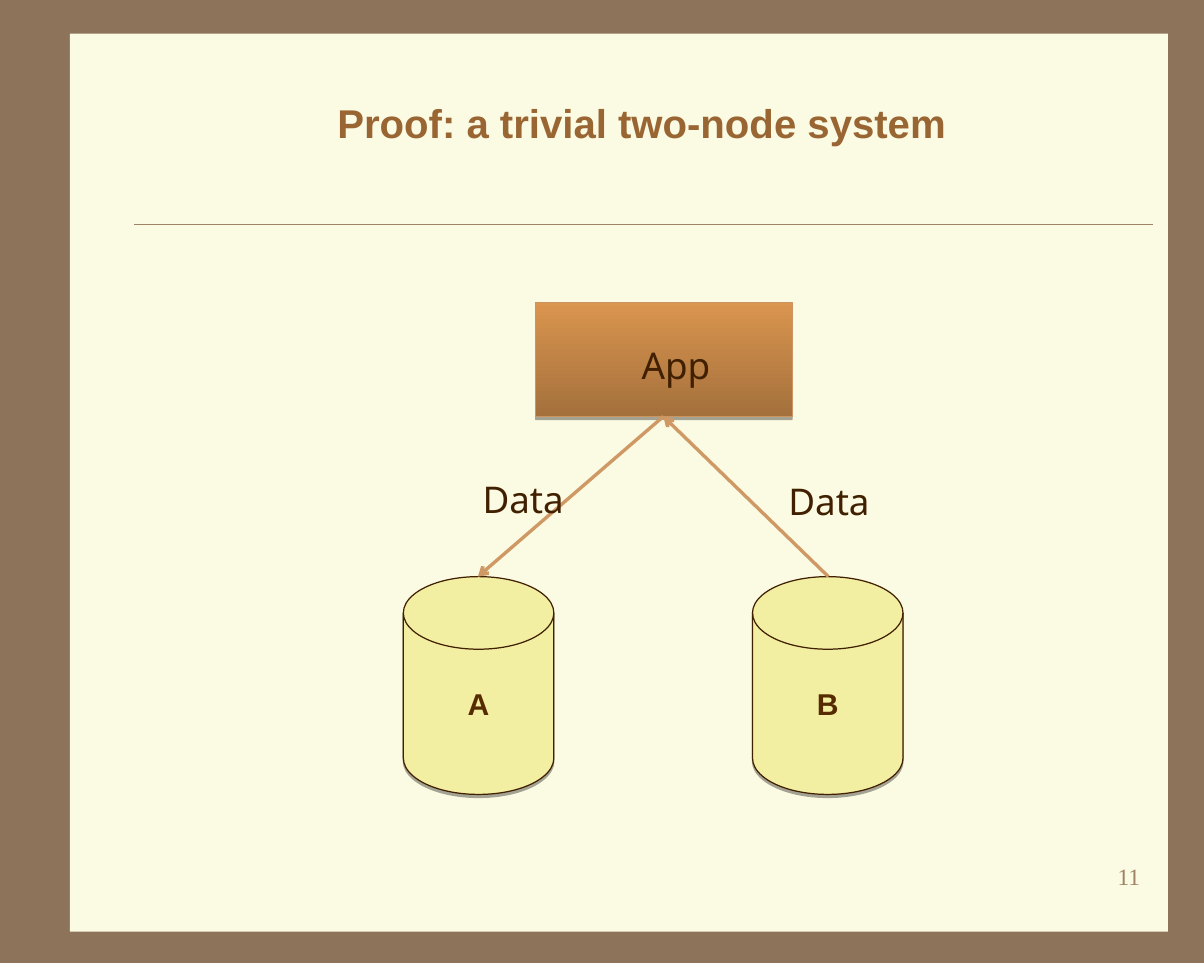
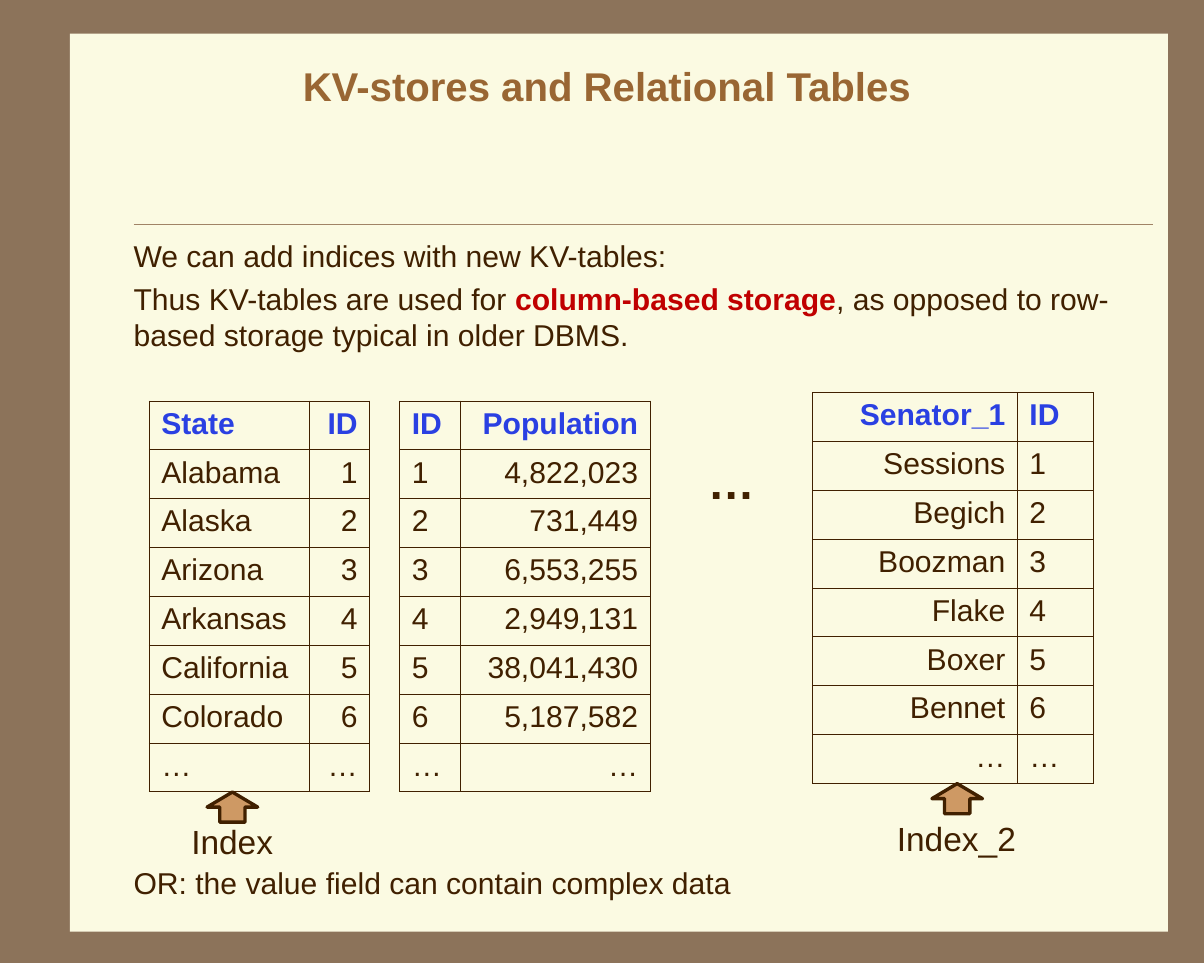
from lxml import etree
from pptx import Presentation
from pptx.dml.color import RGBColor
from pptx.enum import shapes, text
from pptx.oxml import ns
from pptx.util import Inches, Pt

FRAME = RGBColor(0x8C, 0x73, 0x5A)
PAPER = RGBColor(0xFB, 0xFA, 0xE2)
RULE = RGBColor(0xA0, 0x83, 0x66)
TITLE = RGBColor(0x99, 0x66, 0x33)
INK = RGBColor(0x40, 0x20, 0x00)
NODE_FILL = RGBColor(0xF2, 0xEF, 0xA3)
NODE_INK = RGBColor(0x56, 0x2B, 0x00)
APP_DARK = RGBColor(0xA4, 0x70, 0x3C)
APP_LIGHT = RGBColor(0xDA, 0x95, 0x4F)
APP_EDGE = RGBColor(0xCC, 0x95, 0x5F)
ARROW = RGBColor(0xCE, 0x99, 0x64)
HEADER = RGBColor(0x2A, 0x40, 0xE2)
EMPHASIS = RGBColor(0xC0, 0x00, 0x00)
LEFT, CENTER, RIGHT = text.PP_ALIGN.LEFT, text.PP_ALIGN.CENTER, text.PP_ALIGN.RIGHT
SHAPE = shapes.MSO_SHAPE


def add_run(paragraph, words, size, color=INK, bold=False, font="Arial"):
    run = paragraph.add_run()
    run.text = words
    run.font.size, run.font.bold, run.font.name = Pt(size), bold, font
    run.font.color.rgb = color


def add_label(slide, box, words, size, color=INK, bold=False, font="Arial",
              align=LEFT, wrap=False, inset=0.1):
    """Add a one-paragraph text box and return its frame."""
    frame = slide.shapes.add_textbox(*map(Inches, box)).text_frame
    frame.word_wrap = wrap
    if not wrap:
        frame.auto_size = text.MSO_AUTO_SIZE.SHAPE_TO_FIT_TEXT
    frame.margin_left = frame.margin_right = Inches(inset)
    frame.paragraphs[0].alignment = align
    add_run(frame.paragraphs[0], words, size, color, bold, font)
    return frame


prs = Presentation()
prs.slide_width, prs.slide_height = Inches(10), Inches(8)

# Shared page, rule and title
pages = []
for heading, heading_box in [
    ("Proof: a trivial two-node system", (1.08, 0.53, 8.5, 0.97)),
    ("KV-stores and Relational Tables", (0.75, 0.42, 8.58, 0.58)),
]:
    slide = prs.slides.add_slide(prs.slide_layouts[6])
    slide.background.fill.solid()
    slide.background.fill.fore_color.rgb = FRAME
    paper = slide.shapes.add_shape(
        SHAPE.RECTANGLE, Inches(0.58), Inches(0.28), Inches(9.12), Inches(7.46))
    paper.shadow.inherit = False
    paper.fill.solid()
    paper.fill.fore_color.rgb = PAPER
    paper.line.fill.background()
    rule = slide.shapes.add_connector(
        shapes.MSO_CONNECTOR.STRAIGHT, Inches(1.11), Inches(1.86), Inches(9.58), Inches(1.86))
    rule.line.color.rgb = RULE
    rule.line.width = Pt(0.25)
    etree.SubElement(rule._element.spPr, ns.qn("a:effectLst"))
    title = add_label(slide, heading_box, heading, 24, TITLE, True,
                      align=CENTER, wrap=True, inset=0.11)
    title.vertical_anchor = text.MSO_ANCHOR.MIDDLE
    pages.append(slide)
proof, stores = pages

# Two-node system
add_label(proof, (7.5, 7.11, 2.08, 0.53), "11", 14, RULE,
          font="Times New Roman", align=RIGHT, wrap=True, inset=0.11)

blocks = []
for preset, box, edge in [
    (SHAPE.FLOWCHART_MAGNETIC_DISK, (3.35, 4.79, 1.25, 1.81), INK),
    (SHAPE.FLOWCHART_MAGNETIC_DISK, (6.25, 4.79, 1.25, 1.81), INK),
    (SHAPE.RECTANGLE, (4.45, 2.51, 2.13, 0.95), APP_EDGE),
]:
    block = proof.shapes.add_shape(preset, *map(Inches, box))
    block.line.color.rgb = edge
    block.line.width = Pt(0.75)
    block.fill.solid()
    block.fill.fore_color.rgb = NODE_FILL
    block.shadow.inherit = False
    effects = block._element.spPr.find(ns.qn("a:effectLst"))
    shadow = etree.SubElement(effects, ns.qn("a:outerShdw"), blurRad="0",
                              dist=str(Pt(1.8)), dir="5400000", rotWithShape="0")
    black = etree.SubElement(shadow, ns.qn("a:srgbClr"), val="000000")
    etree.SubElement(black, ns.qn("a:alpha"), val="35000")
    blocks.append(block)

for node, letter in zip(blocks, "AB"):
    node.text_frame.vertical_anchor = text.MSO_ANCHOR.MIDDLE
    node.text_frame.paragraphs[0].alignment = CENTER
    add_run(node.text_frame.paragraphs[0], letter, 18, NODE_INK, True)

app = blocks[-1]
app.fill.gradient()
app.fill.gradient_angle = 90
for stop, shade in zip(app.fill.gradient_stops, (APP_DARK, APP_LIGHT)):
    stop.color.rgb = shade

app_port, a_port, b_port = (5.51, 3.46), (3.97, 4.79), (6.88, 4.79)
for start, end in [(app_port, a_port), (b_port, app_port)]:
    flow = proof.shapes.add_connector(
        shapes.MSO_CONNECTOR.STRAIGHT, *map(Inches, start + end))
    flow.line.color.rgb = ARROW
    flow.line.width = Pt(2)
    etree.SubElement(flow.line._get_or_add_ln(), ns.qn("a:tailEnd"), type="arrow")
    etree.SubElement(flow._element.spPr, ns.qn("a:effectLst"))

for words, box in [
    ("Data", (3.91, 3.91, 0.9, 0.47)),
    ("Data", (6.45, 3.93, 0.9, 0.47)),
    ("App", (5.23, 2.8, 0.78, 0.47)),
]:
    add_label(proof, box, words, 22, font="Noto Sans")

# Column-based storage
intro = add_label(stores, (1, 1.92, 8.5, 1.1), "We can add indices with new KV-tables:",
                  18, wrap=True, inset=0.11)
usage = intro.add_paragraph()
usage.space_before = Pt(4.5)
add_run(usage, "Thus KV-tables are used for ", 18)
add_run(usage, "column-based storage", 18, EMPHASIS, True)
add_run(usage, ", as opposed to row-based storage typical in older DBMS.", 18)
add_label(stores, (5.77, 3.71, 0.7, 0.55), "…", 28, bold=True, inset=0.11, wrap=True)
add_label(stores, (1, 7.13, 8.5, 0.4), "OR: the value field can contain complex data",
          18, wrap=True, inset=0.11)

ids = ["ID", "1", "2", "3", "4", "5", "6", "…"]
states = ["State", "Alabama", "Alaska", "Arizona", "Arkansas", "California", "Colorado", "…"]
populations = ["Population", "4,822,023", "731,449", "6,553,255", "2,949,131",
               "38,041,430", "5,187,582", "…"]
senators = ["Senator_1", "Sessions", "Begich", "Boozman", "Flake", "Boxer", "Bennet", "…"]
TABLE_HEIGHT = 3.25

# Each column: values, width, alignment
for left, top, columns in [
    (1.24, 3.33, [(states, 1.33, LEFT), (ids, 0.5, RIGHT)]),
    (3.32, 3.33, [(ids, 0.5, LEFT), (populations, 1.58, RIGHT)]),
    (6.75, 3.26, [(senators, 1.7, RIGHT), (ids, 0.63, LEFT)]),
]:
    width = sum(column[1] for column in columns)
    grid = stores.shapes.add_table(
        len(ids), len(columns), Inches(left), Inches(top),
        Inches(width), Inches(TABLE_HEIGHT)).table
    grid.first_row = grid.horz_banding = False
    for c, (values, column_width, align) in enumerate(columns):
        grid.columns[c].width = Inches(column_width)
        for r, value in enumerate(values):
            cell = grid.cell(r, c)
            props = cell._tc.get_or_add_tcPr()
            for side in ("lnL", "lnR", "lnT", "lnB"):
                border = etree.SubElement(props, ns.qn("a:" + side), w=str(Pt(0.45)))
                paint = etree.SubElement(border, ns.qn("a:solidFill"))
                etree.SubElement(paint, ns.qn("a:srgbClr"), val=str(INK))
            cell.fill.solid()
            cell.fill.fore_color.rgb = PAPER
            entry = cell.text_frame.paragraphs[0]
            entry.alignment = align
            add_run(entry, value, 18, HEADER if r == 0 else INK, r == 0)

for words, label_box, pointer_at in [
    ("Index", (1.49, 6.77, 0.88, 0.44), (1.72, 6.58)),
    ("Index_2", (7.35, 6.75, 1.19, 0.44), (7.74, 6.51)),
]:
    add_label(stores, label_box, words, 20)
    pointer = stores.shapes.add_shape(
        SHAPE.UP_ARROW, *map(Inches, pointer_at), Inches(0.42), Inches(0.25))
    pointer.shadow.inherit = False
    pointer.fill.solid()
    pointer.fill.fore_color.rgb = ARROW
    pointer.line.color.rgb = INK
    pointer.line.width = Pt(2)

prs.save("out.pptx")
